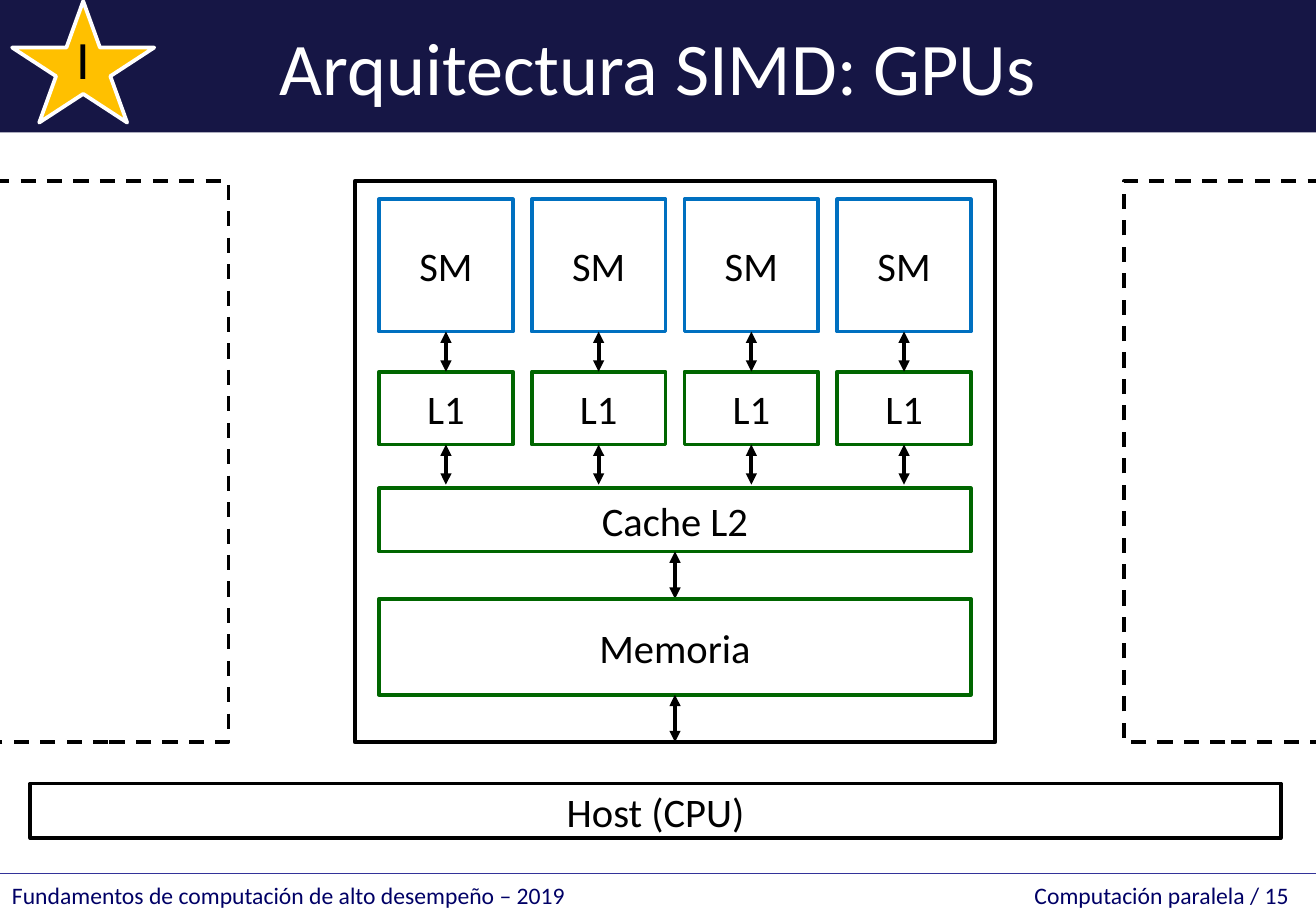
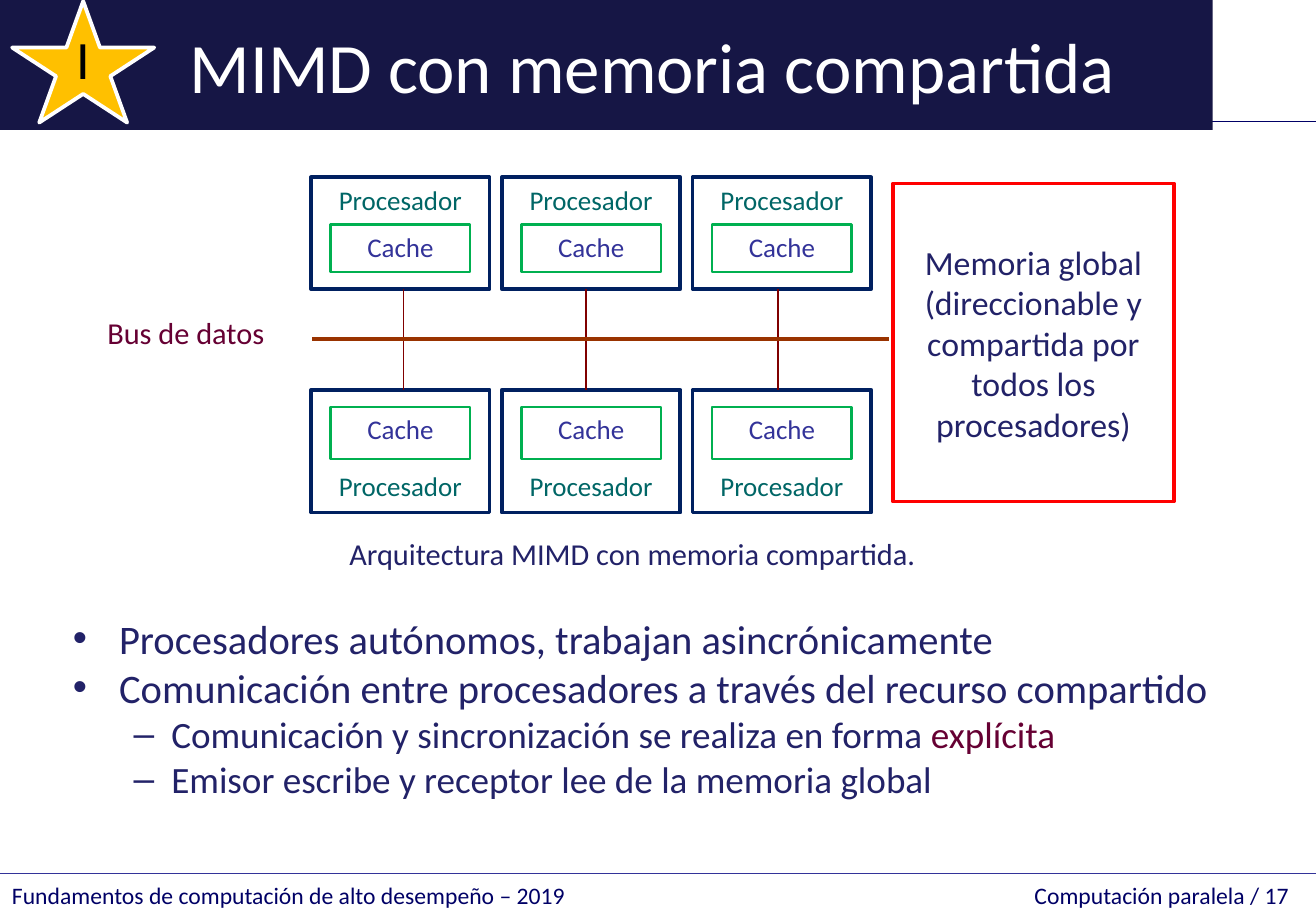
from lxml import etree
from pptx import Presentation
from pptx.dml.color import RGBColor
from pptx.enum.dml import MSO_LINE
from pptx.enum.shapes import MSO_CONNECTOR, MSO_SHAPE
from pptx.enum.text import MSO_ANCHOR, MSO_AUTO_SIZE, PP_ALIGN
from pptx.oxml.ns import qn
from pptx.util import Pt

PX = 9144  # 100 px to the inch
WIDE, HIGH = 1083, 750
FONT = "Calibri"
RECT, STAR = MSO_SHAPE.RECTANGLE, MSO_SHAPE.STAR_5_POINT
LEFT, MID = PP_ALIGN.LEFT, PP_ALIGN.CENTER
TOP, CENTER, BOTTOM = MSO_ANCHOR.TOP, MSO_ANCHOR.MIDDLE, MSO_ANCHOR.BOTTOM
DASH = MSO_LINE.DASH

BLACK, WHITE = "000000", "FFFFFF"
NAVY, INK, BAND = "000066", "222268", "161645"
BLUE, GREEN = "0070C0", "006600"
INDIGO, WINE, MAROON = "333399", "660033", "800000"


def px(n):
    return round(n * PX)


def rgb(code):
    return RGBColor.from_string(code)


def style(par, size, color, align=LEFT):
    par.alignment = align
    par.font.size = Pt(size)
    par.font.name = FONT
    par.font.color.rgb = rgb(color)


def write(shape, words, size, color, align=MID, anchor=TOP, wrap=True):
    frame = shape.text_frame
    frame.word_wrap = wrap
    frame.vertical_anchor = anchor
    frame.text = words
    style(frame.paragraphs[0], size, color, align)
    return frame


def box(slide, x, y, w, h, edge, weight=2.25, fill=None, kind=RECT, dash=None):
    shape = slide.shapes.add_shape(kind, px(x), px(y), px(w), px(h))
    shape.shadow.inherit = False
    if fill:
        shape.fill.solid()
        shape.fill.fore_color.rgb = rgb(fill)
    else:
        shape.fill.background()
    shape.line.color.rgb = rgb(edge)
    shape.line.width = Pt(weight)
    if dash:
        shape.line.dash_style = dash
    return shape


def label(slide, x, y, w, h, words, size, color, align=MID):
    area = slide.shapes.add_textbox(px(x), px(y), px(w), px(h))
    return write(area, words, size, color, align)


def rule(slide, x, y, x2, y2, color, weight, heads=False):
    line = slide.shapes.add_connector(
        MSO_CONNECTOR.STRAIGHT, px(x), px(y), px(x2), px(y2))
    line.line.color.rgb = rgb(color)
    line.line.width = Pt(weight)
    if heads:
        for end in ("a:headEnd", "a:tailEnd"):
            etree.SubElement(line.line._get_or_add_ln(), qn(end), type="triangle")
    etree.SubElement(line.element.spPr, qn("a:effectLst"))
    return line


def place(holder, x, y, w, h, fill):
    holder.left, holder.top, holder.width, holder.height = map(px, (x, y, w, h))
    holder.fill.solid()
    holder.fill.fore_color.rgb = rgb(fill)
    holder.text_frame.auto_size = MSO_AUTO_SIZE.NONE


def start(deck, layout, title, size, w, h, number, shift=0):
    """Add a slide with its title band, rules, footer."""
    slide = deck.slides.add_slide(deck.slide_layouts[layout])
    head = slide.shapes.title
    place(head, 0, 0, w, h, BAND)
    frame = write(head, title, size, WHITE, anchor=CENTER)
    frame.margin_left = px(10 + shift)

    # Rules lie behind the title band
    for y, color in ((100, NAVY), (719, INDIGO)):
        line = rule(slide, 0, y, WIDE, y, color, 0.75)
        slide.shapes.element.insert(2, line.element)

    # Footer, with the page at a right tab
    foot = label(slide, 0, 720, WIDE, 30, "", 14, NAVY, LEFT)
    par = foot.paragraphs[0]
    par.text = ("Fundamentos de computación de alto desempeño – 2019\t"
                f"Computación paralela / {number}")
    tabs = etree.Element(qn("a:tabLst"))
    etree.SubElement(tabs, qn("a:tab"), pos=str(px(1051)), algn="r")
    par.font._element.addprevious(tabs)
    return slide


def star(slide, x, y, w, h):
    shape = box(slide, x, y, w, h, WHITE, fill="FFC000", kind=STAR)
    frame = write(shape, "I", 32, BLACK, anchor=CENTER, wrap=False)
    frame.paragraphs[0].line_spacing = 0.9
    frame.margin_bottom = px(19)


def part(slide, x, y, w, h, edge, words):
    write(box(slide, x, y, w, h, edge), words, 24, BLACK,
          anchor=CENTER, wrap=False)


def chip(slide, x, y, w, h):
    """Draw one GPU: cores, caches, memory."""
    box(slide, x, y, w, h, BLACK)
    inner, unit = w - 40, 110
    step = (inner - unit) / 3
    for col in range(4):
        left = x + 20 + col * step
        part(slide, left, y + 15, unit, 109, BLUE, "SM")
        part(slide, left, y + 157, unit, 60, GREEN, "L1")
        for top in (124, 217):
            rule(slide, left + unit / 2, y + top,
                 left + unit / 2, y + top + 33, BLACK, 2.25, True)
    for top, tall, words in ((253, 52, "Cache L2"), (344, 79, "Memoria")):
        part(slide, x + 20, y + top, inner, tall, GREEN, words)
        foot = y + top + tall
        rule(slide, x + w / 2, foot, x + w / 2, foot + 39, BLACK, 2.25, True)


def node(slide, x, y, w, h, anchor, top, tall):
    """Draw one processor with its cache."""
    cpu = box(slide, x, y, w, h, "002060", fill=WHITE)
    frame = write(cpu, "Procesador", 16, "006666", anchor=anchor)
    frame.margin_bottom = px(9)
    cache = box(slide, x + 16, y + top, w - 32, tall, "00B050", 1.5, WHITE)
    write(cache, "Cache", 16, INDIGO)


def shared(slide, x, y, w, h):
    """Draw processors, bus and global memory."""
    store = box(slide, x + w - 231, y + 5, 231, 262, "FF0000", fill=WHITE)
    write(store, "Memoria global (direccionable y compartida por todos "
          "los procesadores)", 20, INK, anchor=CENTER)
    left = x + 206
    for col, link in enumerate((76, 226, 384)):
        at = left + col * 157
        node(slide, at, y, 147, 92, TOP, 39, 39)
        node(slide, at, y + h - 101, 147, 101, BOTTOM, 14, 43)
        rule(slide, left + link, y + 92, left + link, y + h - 101, MAROON, 1)
    label(slide, x, y + 108, 206, 43, "Bus de datos", 18, WINE)
    rule(slide, left + 1, y + 133, x + w - 234, y + 133, "993300", 2)


def points(slide, x, y, w, h, items):
    body = slide.placeholders[1]
    place(body, x, y, w, h, WHITE)
    frame = body.text_frame
    for i, (level, words, accent) in enumerate(items):
        par = frame.add_paragraph() if i else frame.paragraphs[0]
        par.level = level
        size, gap, indent, hang = ((24, 6, 38, 38), (22, 5.5, 81, 31))[level]
        props = par._p.get_or_add_pPr()
        props.set("marL", str(px(indent)))
        props.set("indent", str(px(-hang)))
        par.line_spacing = 0.8
        par.space_before = Pt(gap if i else 0)
        par.add_run().text = words
        if accent:
            run = par.add_run()
            run.text = accent
            run.font.color.rgb = rgb(WINE)
        style(par, size, INK)


def gpu(deck):
    slide = start(deck, 5, "Arquitectura SIMD: GPUs", 44, WIDE, 109, 15)
    chip(slide, 292, 149, 527, 462)
    part(slide, 25, 645, 1029, 45, BLACK, "Host (CPU)")
    for x, w in ((-10, 198), (925, 167)):
        box(slide, x, 149, w, 462, BLACK, dash=DASH)
    star(slide, 10, 1, 117, 100)


def mimd(deck):
    slide = start(deck, 1, "MIMD con memoria compartida", 42, 998, 107, 17, 76)
    points(slide, 50, 508, 1008, 187, (
        (0, "Procesadores autónomos, trabajan asincrónicamente", ""),
        (0, "Comunicación entre procesadores a través del recurso compartido", ""),
        (1, "Comunicación y sincronización se realiza en forma ", "explícita"),
        (1, "Emisor escribe y receptor lee de la memoria global", ""),
    ))
    shared(slide, 50, 146, 916, 276)
    note = label(slide, 58, 439, 925, 37,
                 "Arquitectura MIMD con memoria compartida.", 18, INK)
    note.paragraphs[0].line_spacing = 0.9
    star(slide, 10, 1, 117, 100)


def main():
    deck = Presentation()
    deck.slide_width, deck.slide_height = px(WIDE), px(HIGH)
    gpu(deck)
    mimd(deck)
    deck.save("out.pptx")


if __name__ == "__main__":
    main()
